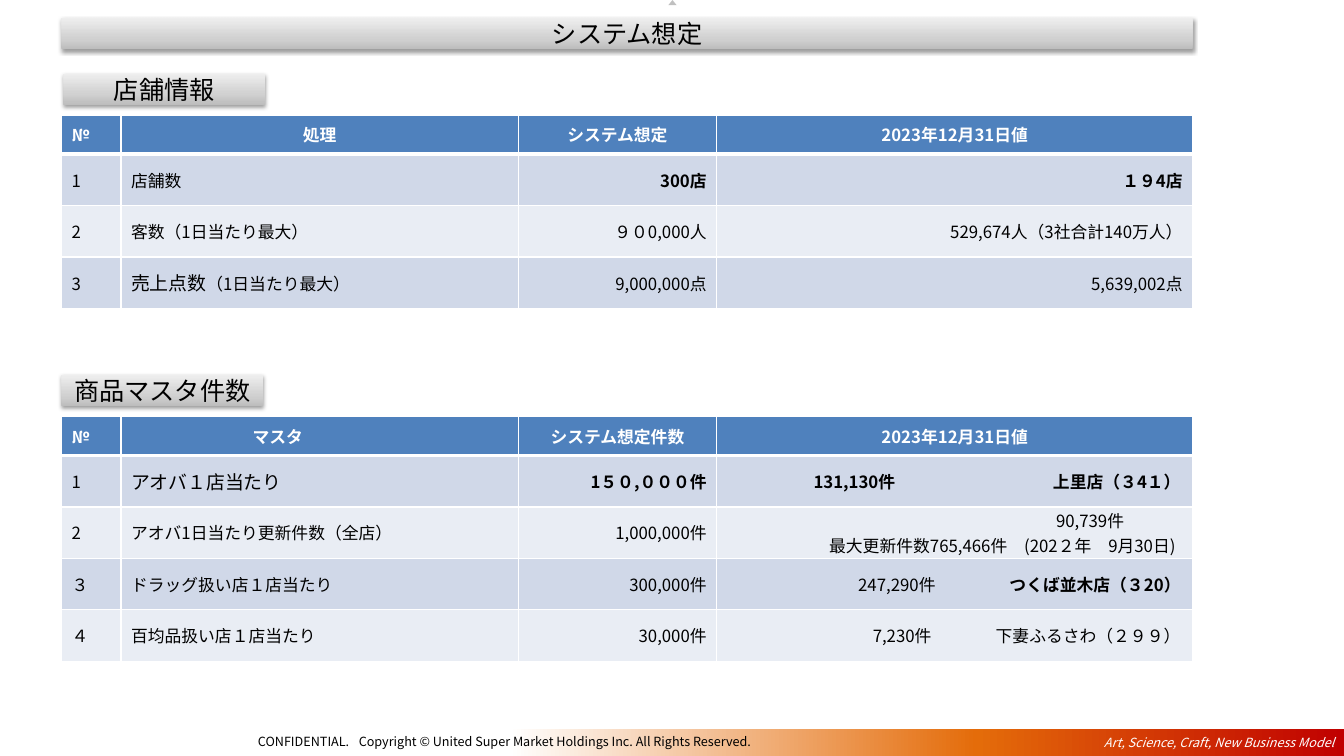
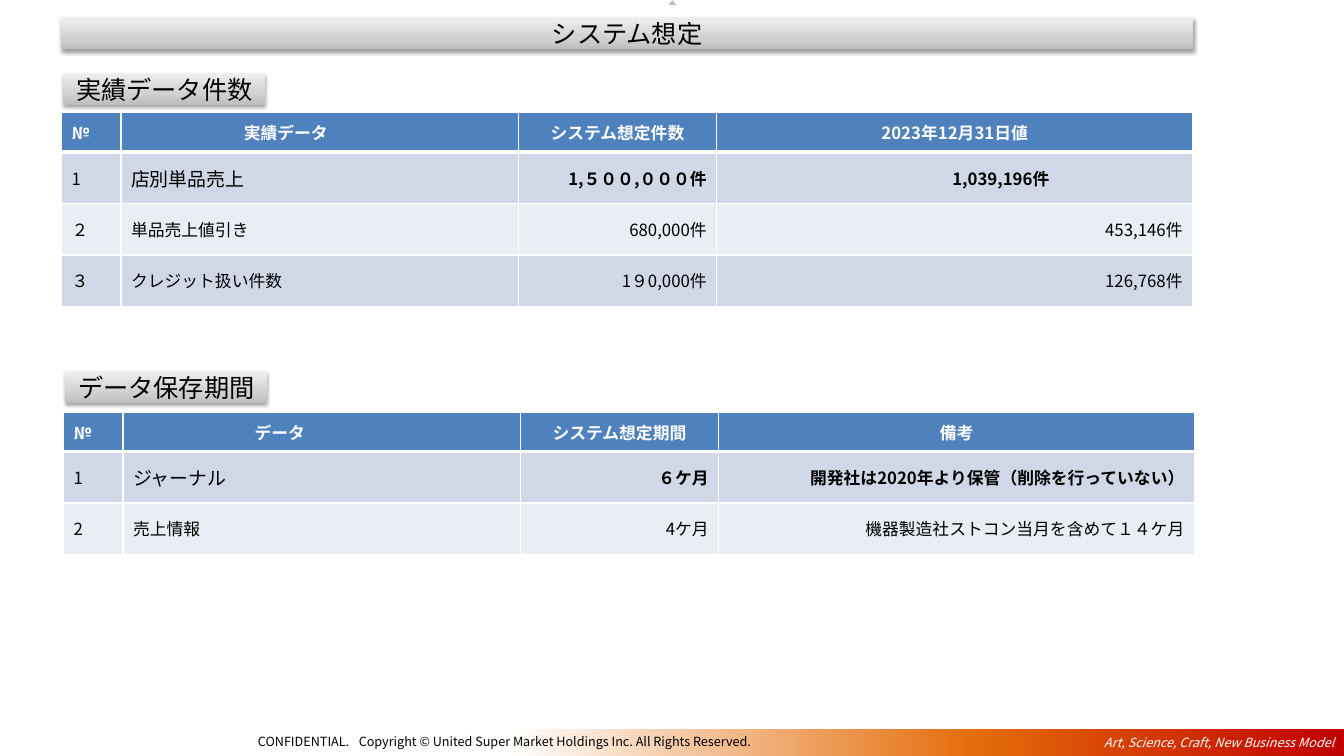
from dataclasses import dataclass

from lxml.etree import SubElement
from pptx import Presentation
from pptx.dml.color import RGBColor
from pptx.enum.shapes import MSO_SHAPE as Preset
from pptx.enum.text import MSO_ANCHOR as Anchor, MSO_AUTO_SIZE as AutoSize, PP_ALIGN as Align
from pptx.oxml.ns import qn
from pptx.util import Inches, Pt

COLORS = {
    "white": "FFFFFF", "black": "000000", "header": "4F81BD",
    "odd": "D0D8E8", "even": "E9EDF4", "marker": "C0C0C0",
}
BAR_GRADIENT = ((0, "BDBDBD"), (35, "D1D1D1"), (100, "EEEEEE"))
FOOTER_GRADIENT = ((0, "FFFFFF"), (56, "E46C0A"), (100, "C00000"))
BODY_FONT = "Noto Sans CJK JP"
FOOTER_FONT = "Noto Sans CJK TC"

TITLE = "システム想定"
TAGLINE = "Art, Science, Craft, New Business Model"
COPYRIGHT = "CONFIDENTIAL.\tCopyright © United Super Market Holdings Inc. All Rights Reserved."
DATE_HEADING = "2023年12月31日値"
COUNT_HEADING = "システム想定件数"

COLUMN_WIDTHS = (0.59, 3.94, 1.97, 4.72)
COLUMN_ALIGNS = (Align.LEFT, Align.LEFT, Align.RIGHT, Align.RIGHT)
HEADER_HEIGHT, ROW_HEIGHT = 0.39, 0.51
BAR_LEFT, BAR_WIDTH, BAR_HEIGHT = 0.61, 11.22, 0.31
LABEL_WIDTH = 2
CELL_MARGIN = 0.1


@dataclass(frozen=True)
class Span:
    text: str
    bold: bool = False
    size: float = 12


@dataclass(frozen=True)
class Line:
    """One paragraph; its tab stops are right-aligned, in inches."""
    spans: tuple[Span, ...]
    stops: tuple[float, ...] = ()


Cell = str | Span | tuple[Line, ...]


@dataclass(frozen=True)
class Section:
    label: str
    label_at: tuple[float, float]
    table_at: tuple[float, float]
    headings: tuple[str, ...]
    rows: tuple[tuple[Cell, ...], ...]
    heading_shift: float = 0  # extra right margin of the second heading


def strong(text: str) -> Span:
    return Span(text, bold=True)


def large(text: str) -> Span:
    return Span(text, size=13.5)


def tabbed(stops: tuple[float, ...], *spans: Span) -> tuple[Line, ...]:
    return (Line(spans, stops),)


PAGES = (
    (
        Section(
            "店舗情報", (0.63, 0.73), (0.61, 1.14),
            ("№", "処理", "システム想定", DATE_HEADING),
            (
                ("1", "店舗数", strong("300店"), strong("１９4店")),
                ("2", "客数（1日当たり最大）", "９０0,000人", "529,674人（3社合計140万人）"),
                ("3", (Line((large("売上点数"), Span("（1日当たり最大）"))),),
                 "9,000,000点", "5,639,002点"),
            ),
        ),
        Section(
            "商品マスタ件数", (0.61, 3.72), (0.61, 4.13),
            ("№", "マスタ", COUNT_HEADING, DATE_HEADING),
            (
                ("1", large("アオバ１店当たり"), strong("1５０,０００件"),
                 tabbed((1.67, 4.5), strong("\t131,130件\t上里店（３4１）"))),
                ("2", "アオバ1日当たり更新件数（全店）", "1,000,000件",
                 tabbed((3.94,), Span("\t90,739件"))
                 + tabbed((4.45,), Span("\t最大更新件数765,466件　(202２年　9月30日)"))),
                ("３", "ドラッグ扱い店１店当たり", "300,000件",
                 tabbed((2.07, 4.5), Span("\t247,290件\t"), strong("つくば並木店（３20）"))),
                ("４", "百均品扱い店１店当たり", "30,000件",
                 tabbed((2.03, 4.5), Span("\t7,230件\t下妻ふるさわ（２９９）"))),
            ),
            heading_shift=0.83,
        ),
    ),
    (
        Section(
            "実績データ件数", (0.63, 0.73), (0.61, 1.12),
            ("№", "実績データ", COUNT_HEADING, DATE_HEADING),
            (
                ("1", large("店別単品売上"), strong("1,５００,０００件"),
                 tabbed((3.2,), strong("\t1,039,196件"))),
                ("２", "単品売上値引き", "680,000件", "453,146件"),
                ("３", "クレジット扱い件数", "1９0,000件", "126,768件"),
            ),
            heading_shift=0.67,
        ),
        Section(
            "データ保存期間", (0.65, 3.69), (0.63, 4.09),
            ("№", "データ", "システム想定期間", "備考"),
            (
                ("1", large("ジャーナル"), strong("６ケ月"),
                 strong("開発社は2020年より保管（削除を行っていない）")),
                ("2", "売上情報", "4ケ月", "機器製造社ストコン当月を含めて１４ケ月"),
            ),
            heading_shift=0.83,
        ),
    ),
)


def rgb(name: str) -> RGBColor:
    return RGBColor.from_string(COLORS[name])


# Text

def style_run(run, size: float, color: str, font: str = BODY_FONT,
              bold: bool = False, italic: bool = False) -> None:
    run.font.size = Pt(size)
    run.font.bold = bold
    run.font.italic = italic
    run.font.color.rgb = rgb(color)
    run.font.name = font
    SubElement(run._r.get_or_add_rPr(), qn("a:ea"), typeface=font)


def add_stops(para, stops: tuple[float, ...], align: str = "r") -> None:
    if stops:
        tabs = SubElement(para._p.get_or_add_pPr(), qn("a:tabLst"))
        for stop in stops:
            SubElement(tabs, qn("a:tab"), pos=str(Inches(stop)), algn=align)


def set_text(shape, text: str, size: float, color: str, align: Align,
             font: str = BODY_FONT, italic: bool = False) -> None:
    frame = shape.text_frame
    frame.text = text
    frame.word_wrap = True
    frame.auto_size = AutoSize.NONE
    frame.vertical_anchor = Anchor.MIDDLE
    frame.margin_left = frame.margin_right = Inches(CELL_MARGIN)
    frame.margin_top = frame.margin_bottom = 0
    para = frame.paragraphs[0]
    para.alignment = align
    style_run(para.runs[0], size, color, font, italic=italic)


# Shapes

def place(shape, left: float, top: float, width: float, height: float) -> None:
    shape.left, shape.top = Inches(left), Inches(top)
    shape.width, shape.height = Inches(width), Inches(height)


def add_plain_shape(page, preset: Preset, *frame: float):
    shape = page.shapes.add_shape(preset, *map(Inches, frame))
    shape.shadow.inherit = False
    shape.line.fill.background()
    return shape


def set_gradient(shape, stops: tuple[tuple[int, str], ...], angle: int) -> None:
    shape.fill.gradient()
    gradient = shape.element.spPr.find(qn("a:gradFill"))
    stop_list = gradient.find(qn("a:gsLst"))
    for old_stop in list(stop_list):
        stop_list.remove(old_stop)
    for position, color in stops:
        stop = SubElement(stop_list, qn("a:gs"), pos=str(position * 1000))
        SubElement(stop, qn("a:srgbClr"), val=color)
    gradient.find(qn("a:lin")).set("ang", str(angle * 60000))


def style_bar(shape, text: str) -> None:
    """Grey gradient bar with a soft shadow below it."""
    set_gradient(shape, BAR_GRADIENT, 270)
    shape.line.fill.background()
    shape.shadow.inherit = False
    effects = shape.element.spPr.find(qn("a:effectLst"))
    shadow = SubElement(effects, qn("a:outerShdw"), blurRad=str(Pt(3.1)),
                        dist=str(Pt(1.6)), dir="5400000", rotWithShape="0")
    color = SubElement(shadow, qn("a:srgbClr"), val=COLORS["black"])
    SubElement(color, qn("a:alpha"), val="38000")
    set_text(shape, text, 18, "black", Align.CENTER)


def add_frame(page) -> None:
    """Footer band, copyright line, top marker and title."""
    band = add_plain_shape(page, Preset.RECTANGLE, 5.05, 7.23, 8.28, 0.27)
    set_gradient(band, FOOTER_GRADIENT, 0)
    set_text(band, TAGLINE, 9, "white", Align.RIGHT, FOOTER_FONT, italic=True)

    box = page.shapes.add_textbox(*map(Inches, (2.46, 7.23, 5.49, 0.25)))
    add_stops(box.text_frame.paragraphs[0], (1.14,), "l")
    set_text(box, COPYRIGHT, 9, "black", Align.LEFT, FOOTER_FONT)

    marker = add_plain_shape(page, Preset.ISOSCELES_TRIANGLE, 6.63, 0, 0.08, 0.05)
    marker.fill.solid()
    marker.fill.fore_color.rgb = rgb("marker")

    title = page.shapes.title
    place(title, BAR_LEFT, 0.18, BAR_WIDTH, BAR_HEIGHT)
    style_bar(title, TITLE)


# Tables

def as_lines(content: Cell) -> tuple[Line, ...]:
    if isinstance(content, str):
        content = Span(content)
    return (Line((content,)),) if isinstance(content, Span) else content


def set_borders(cell, top: float, bottom: float) -> None:
    properties = cell._tc.get_or_add_tcPr()
    for side, width in (("L", 1), ("R", 1), ("T", top), ("B", bottom)):
        line = SubElement(properties, qn(f"a:ln{side}"), w=str(Pt(width)))
        fill = SubElement(line, qn("a:solidFill"))
        SubElement(fill, qn("a:srgbClr"), val=COLORS["white"])


def fill_cell(cell, content: Cell, align: Align, fill: str, color: str) -> None:
    cell.fill.solid()
    cell.fill.fore_color.rgb = rgb(fill)
    cell.vertical_anchor = Anchor.MIDDLE
    cell.margin_left = cell.margin_right = Inches(CELL_MARGIN)
    cell.margin_top = cell.margin_bottom = 0
    frame = cell.text_frame
    for index, line in enumerate(as_lines(content)):
        para = frame.add_paragraph() if index else frame.paragraphs[0]
        add_stops(para, line.stops)
        para.alignment = Align.LEFT if line.stops else align
        for span in line.spans:
            run = para.add_run()
            run.text = span.text
            style_run(run, span.size, color, bold=span.bold)


def add_section(page, section: Section) -> None:
    label = add_plain_shape(page, Preset.RECTANGLE, *section.label_at, LABEL_WIDTH, BAR_HEIGHT)
    style_bar(label, section.label)

    heights = (HEADER_HEIGHT,) + (ROW_HEIGHT,) * len(section.rows)
    table = page.shapes.add_table(
        len(heights), len(COLUMN_WIDTHS), *map(Inches, section.table_at),
        Inches(sum(COLUMN_WIDTHS)), Inches(sum(heights))).table
    for column, width in zip(table.columns, COLUMN_WIDTHS):
        column.width = Inches(width)
    for row, height in zip(table.rows, heights):
        row.height = Inches(height)

    for column, heading in enumerate(section.headings):
        cell = table.cell(0, column)
        set_borders(cell, 1, 3)
        fill_cell(cell, strong(heading), Align.CENTER if column else Align.LEFT, "header", "white")
    table.cell(0, 1).margin_right = Inches(CELL_MARGIN + section.heading_shift)

    for number, contents in enumerate(section.rows, 1):
        for column, content in enumerate(contents):
            cell = table.cell(number, column)
            set_borders(cell, 3 if number == 1 else 1, 1)
            fill_cell(cell, content, COLUMN_ALIGNS[column], "odd" if number % 2 else "even", "black")


def main() -> None:
    deck = Presentation()
    deck.slide_width, deck.slide_height = Inches(13.33), Inches(7.5)
    title_only = deck.slide_layouts[5]
    for sections in PAGES:
        page = deck.slides.add_slide(title_only)
        add_frame(page)
        for section in sections:
            add_section(page, section)
    deck.save("out.pptx")


if __name__ == "__main__":
    main()
